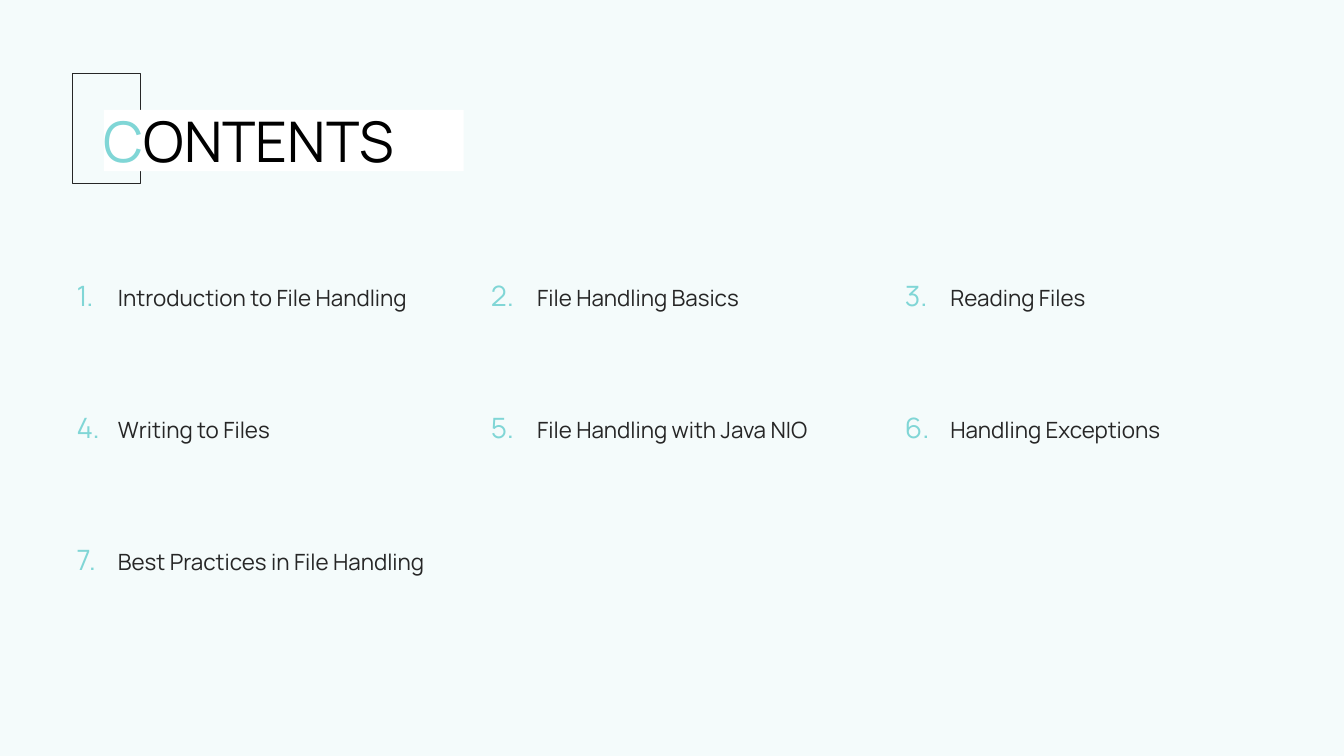
from dataclasses import dataclass

import pptx
import pptx.dml.color
import pptx.enum.shapes
import pptx.enum.text
import pptx.oxml
import pptx.oxml.ns
import pptx.util

Pt = pptx.util.Pt
ANCHOR = pptx.enum.text.MSO_ANCHOR


@dataclass(frozen=True)
class Theme:
    font: str = "Manrope"
    wash: str = "E6F7F7"
    wash_alpha: int = 43000
    accent: str = "80D6D6"
    ink: str = "262626"
    black: str = "000000"
    white: str = "FFFFFF"
    title_size: int = 40
    number_size: int = 20
    label_size: int = 16


THEME = Theme()
TOPICS = [
    "Introduction to File Handling",
    "File Handling Basics",
    "Reading Files",
    "Writing to Files",
    "File Handling with Java NIO",
    "Handling Exceptions",
    "Best Practices in File Handling",
]
LABEL_OFFSETS = [29.5, 33.1, 32.4]


def color(code):
    return pptx.dml.color.RGBColor.from_string(code)


def add_rectangle(page, left, top, width, height, fill=None, line=None):
    kind = pptx.enum.shapes.MSO_SHAPE.RECTANGLE
    shape = page.shapes.add_shape(kind, Pt(left), Pt(top), Pt(width), Pt(height))
    shape.shadow.inherit = False
    if fill:
        shape.fill.solid()
        shape.fill.fore_color.rgb = color(fill)
    else:
        shape.fill.background()
    if line:
        shape.line.color.rgb = color(line)
        shape.line.width = Pt(1)
    else:
        shape.line.fill.background()
    return shape


def write(shape, parts, size, anchor):
    frame = shape.text_frame
    frame.word_wrap = True
    frame.vertical_anchor = anchor
    frame.margin_left = frame.margin_top = frame.margin_right = frame.margin_bottom = 0
    para = frame.paragraphs[0]
    para.alignment = pptx.enum.text.PP_ALIGN.LEFT
    for text, code in parts:
        span = para.add_run()
        span.text = text
        span.font.name = THEME.font
        span.font.size = Pt(size)
        span.font.color.rgb = color(code)


def add_text(page, left, top, width, height, text, size, code, anchor):
    box = page.shapes.add_textbox(Pt(left), Pt(top), Pt(width), Pt(height))
    write(box, [(text, code)], size, anchor)


def draw_background(page, width, height):
    wash = add_rectangle(page, 0, 0, width, height, fill=THEME.wash)
    tint = wash.fill._xPr.find(".//" + pptx.oxml.ns.qn("a:srgbClr"))
    alpha = pptx.oxml.parse_xml(
        f'<a:alpha {pptx.oxml.ns.nsdecls("a")} val="{THEME.wash_alpha}"/>'
    )
    tint.append(alpha)


def draw_title(page, left, top):
    add_rectangle(page, left, top, 48.3, 78.7, line=THEME.ink)
    band = add_rectangle(page, left + 22.3, top + 25.8, 257, 43.9, fill=THEME.white)
    parts = [("C", THEME.accent), ("ONTENTS", THEME.black)]
    write(band, parts, THEME.title_size, ANCHOR.MIDDLE)


def draw_topic(page, left, top, number, topic, label_offset):
    add_text(page, left, top, 31, 22.3, f"{number}.",
             THEME.number_size, THEME.accent, ANCHOR.MIDDLE)
    add_text(page, left + label_offset, top + 3, 280, 70.6, topic,
             THEME.label_size, THEME.ink, ANCHOR.TOP)


def draw_topics(page, left, top, column_pitch, row_pitch):
    for index, topic in enumerate(TOPICS):
        row, column = divmod(index, len(LABEL_OFFSETS))
        draw_topic(page, left + column * column_pitch, top + row * row_pitch,
                   index + 1, topic, LABEL_OFFSETS[column])


def main():
    deck = pptx.Presentation()
    deck.slide_width, deck.slide_height = Pt(960), Pt(540)
    page = deck.slides.add_slide(deck.slide_layouts[6])
    draw_background(page, 960, 540)
    draw_title(page, 51.9, 52.6)
    draw_topics(page, 54.8, 200, 295.8, 94.1)
    deck.save("out.pptx")


if __name__ == "__main__":
    main()
